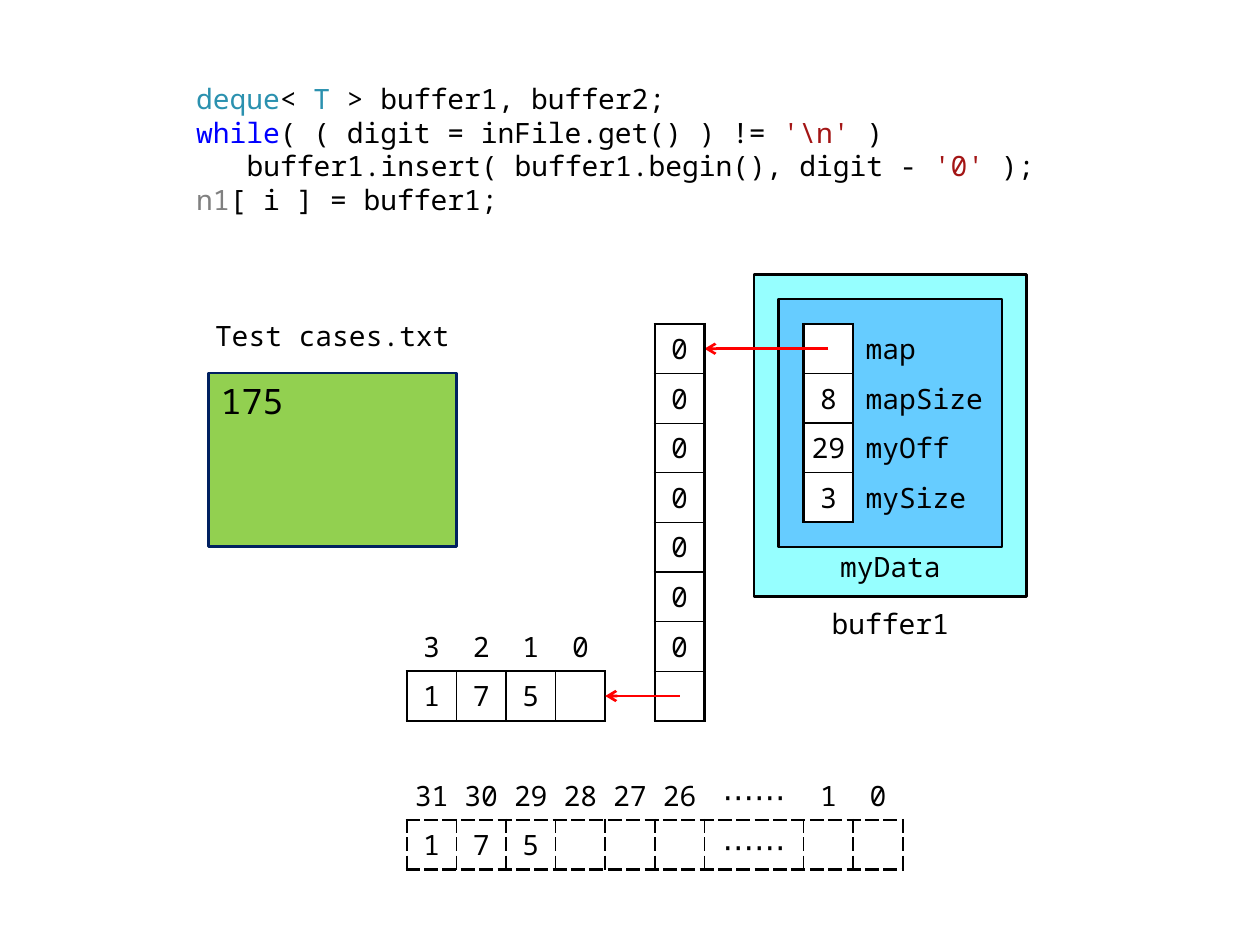
from lxml.etree import SubElement
from pptx import Presentation
from pptx.dml.color import RGBColor
from pptx.enum.shapes import MSO_CONNECTOR as Link, MSO_SHAPE as Shape
from pptx.enum.text import MSO_ANCHOR as Anchor, MSO_AUTO_SIZE as AutoSize, PP_ALIGN as Align
from pptx.oxml.ns import qn
from pptx.util import Cm, Inches, Pt

COLORS = {
    "black": "000000", "white": "FFFFFF", "red": "FF0000", "navy": "002060",
    "green": "92D050", "aqua": "96FFFF", "sky": "66CCFF",
    "type": "2B91AF", "keyword": "0000FF", "literal": "A31515", "param": "808080",
}
CELL = 1  # side of a memory cell, cm
# Edges of the memory drawing, cm
BLOCK_LEFT, MAP_LEFT, MEMBERS_LEFT = 8.2, 13.2, 16.2
MAP_TOP = 6.53


def rgb(name):
    return RGBColor.from_string(COLORS[name])


def write(paragraph, text, size=16, font="Noto Sans Mono", color="black", align=Align.LEFT):
    """Add text to a paragraph as one run."""
    paragraph.alignment = align
    run = paragraph.add_run()
    run.text = text
    run.font.size, run.font.name = Pt(size), font
    run.font.color.rgb = rgb(color)


class Deck:
    line_width = 1.5

    def __init__(self, width, height):
        self.prs = Presentation()
        self.prs.slide_width, self.prs.slide_height = Inches(width), Inches(height)
        self.slide = None

    def add_slide(self, layout):
        self.slide = self.prs.slides.add_slide(self.prs.slide_layouts[layout])

    def code(self, x, y, w, h, lines):
        """Fill the body placeholder with (indent, runs) lines and drop the unused title."""
        title = self.slide.shapes.title
        title.element.getparent().remove(title.element)
        body = self.slide.placeholders[1]
        body.left, body.top, body.width, body.height = Cm(x), Cm(y), Cm(w), Cm(h)
        frame = body.text_frame
        frame.vertical_anchor, frame.auto_size = Anchor.TOP, AutoSize.NONE
        for number, (indent, runs) in enumerate(lines):
            paragraph = frame.add_paragraph() if number else frame.paragraphs[0]
            paragraph.line_spacing, paragraph.space_before = Pt(19.2), Pt(0)
            paragraph._p.get_or_add_pPr().set("marL", str(Cm(indent)))
            for text, color in runs:
                write(paragraph, text, color=color)

    def box(self, x, y, w, h, fill, line="black", kind=Shape.FLOWCHART_PROCESS, text="", size=20):
        shape = self.slide.shapes.add_shape(kind, Cm(x), Cm(y), Cm(w), Cm(h))
        shape.shadow.inherit = False
        shape.fill.solid()
        shape.fill.fore_color.rgb = rgb(fill)
        shape.line.color.rgb = rgb(line)
        shape.line.width = Pt(self.line_width)
        if text:
            shape.text_frame.vertical_anchor = Anchor.TOP
            write(shape.text_frame.paragraphs[0], text, size=size)

    def label(self, x, y, w, h, text, anchor=Anchor.MIDDLE, top=0.1, bottom=0.0):
        frame = self.slide.shapes.add_textbox(Cm(x), Cm(y), Cm(w), Cm(h)).text_frame
        frame.word_wrap = True
        frame.vertical_anchor = anchor
        frame.margin_left = frame.margin_right = Cm(0.2)
        frame.margin_top, frame.margin_bottom = Cm(top), Cm(bottom)
        write(frame.paragraphs[0], text, align=Align.CENTER)

    def arrow(self, start, end, y):
        line = self.slide.shapes.add_connector(Link.STRAIGHT, Cm(start), Cm(y), Cm(end), Cm(y))
        line.line.color.rgb = rgb("red")
        line.line.width = Pt(self.line_width)
        SubElement(line.line._get_or_add_ln(), qn("a:tailEnd"), type="arrow")
        SubElement(line._element.spPr, qn("a:effectLst"))

    def border(self, cell, side, width, dash):
        line = SubElement(cell._tc.get_or_add_tcPr(), qn("a:ln" + side), w=str(Pt(width)))
        if not width:
            SubElement(line, qn("a:noFill"))
            return
        SubElement(SubElement(line, qn("a:solidFill")), qn("a:srgbClr"), val=COLORS["black"])
        SubElement(line, qn("a:prstDash"), val=dash)

    def memory(self, x, y, rows, widths, framed, inner, dash="solid", fill=None, names=None):
        """Draw a table; the (row, column) cells in framed get borders, column names is text."""
        table = self.slide.shapes.add_table(
            len(rows), len(widths), Cm(x), Cm(y), Cm(sum(widths)), Cm(CELL * len(rows))).table
        table.first_row = table.horz_banding = False
        for column, width in zip(table.columns, widths):
            column.width = Cm(width)
        for r, row in enumerate(rows):
            table.rows[r].height = Cm(CELL)
            for c, text in enumerate(row):
                cell = table.cell(r, c)
                cell.vertical_anchor = Anchor.MIDDLE
                cell.margin_top = cell.margin_bottom = cell.margin_right = Cm(0.1)
                cell.margin_left = Cm(0.25 if c == names else 0.1)
                # Inner lines lie between two framed cells, outer lines beside just one
                for side, dr, dc in (("L", 0, -1), ("R", 0, 1), ("T", -1, 0), ("B", 1, 0)):
                    count = ((r, c) in framed) + ((r + dr, c + dc) in framed)
                    self.border(cell, side, (0, self.line_width, inner)[count], dash)
                if fill and (r, c) in framed:
                    cell.fill.solid()
                    cell.fill.fore_color.rgb = rgb(fill)
                else:
                    cell.fill.background()
                if text:
                    write(cell.text_frame.paragraphs[0], text, size=18 if "⋯" in text else 16,
                          align=Align.LEFT if c == names else Align.CENTER)


def main():
    deck = Deck(10, 7.5)
    deck.add_slide(2)

    # Source code
    deck.code(3.7, 1.52, 18, 3, [
        (0, [("deque", "type"), ("< ", "black"), ("T", "type"),
             (" > buffer1, buffer2;", "black")]),
        (0, [("while", "keyword"), ("( ( digit = inFile.get() ) != ", "black"),
             ("'\\n'", "literal"), (" )", "black")]),
        (1.02, [("buffer1.insert( buffer1.begin(), digit - ", "black"),
                ("'0' ", "literal"), (");", "black")]),
        (0, [("n1", "param"), ("[ i ] = buffer1;", "black")]),
    ])

    # Input file
    deck.box(4.2, 7.52, 5, 3.5, "green", line="navy", kind=Shape.RECTANGLE, text="175")
    deck.label(3.7, 6.02, 6, 1.5, "Test cases.txt", bottom=0.1)

    # The buffer1 object and its data members
    deck.box(15.2, 5.53, 5.5, 6.5, "aqua")
    deck.box(15.7, 6.03, 4.5, 5, "sky")
    deck.label(16.2, 12.02, 3.5, 1, "buffer1")
    deck.label(16.7, 11.02, 2.5, 1, "myData", anchor=Anchor.TOP, top=0.05)
    members = [("", "map"), ("8", "mapSize"), ("29", "myOff"), ("3", "mySize")]
    deck.memory(MEMBERS_LEFT, MAP_TOP, members, [CELL, 3 * CELL],
                {(r, 0) for r in range(len(members))}, inner=1, fill="white", names=1)
    deck.arrow(MEMBERS_LEFT + CELL / 2, MAP_LEFT + CELL, MAP_TOP + CELL / 2)

    # Map of block pointers; the last one leads to the block in use
    pointers = [["0"]] * 7 + [[""]]
    deck.memory(MAP_LEFT, MAP_TOP, pointers, [CELL],
                {(r, 0) for r in range(len(pointers))}, inner=0.75)
    block = [["3", "2", "1", "0"], ["1", "7", "5", ""]]
    deck.memory(BLOCK_LEFT, 12.53, block, [CELL] * 4, {(1, c) for c in range(4)}, inner=0.75)
    deck.arrow(MAP_LEFT + CELL / 2, BLOCK_LEFT + 4 * CELL, MAP_TOP + 7.5 * CELL)

    # Logical sequence of all elements
    sequence = [["31", "30", "29", "28", "27", "26", "⋯⋯", "1", "0"],
                ["1", "7", "5", "", "", "", "⋯⋯", "", ""]]
    widths = [2 * CELL if "⋯" in text else CELL for text in sequence[0]]
    deck.memory(BLOCK_LEFT, 15.53, sequence, widths,
                {(1, c) for c in range(len(widths))}, inner=1, dash="sysDash")

    deck.prs.save("out.pptx")


if __name__ == "__main__":
    main()
